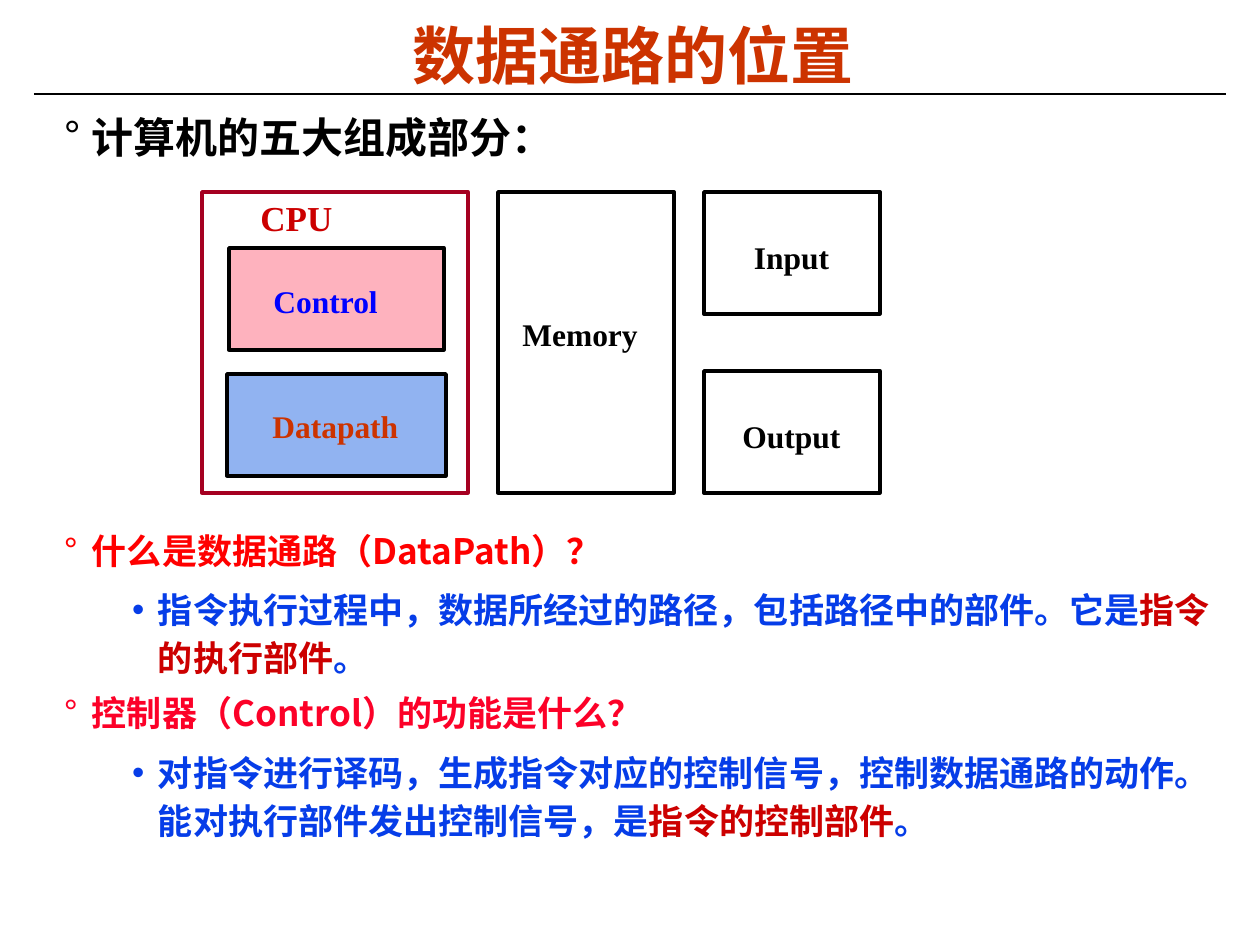
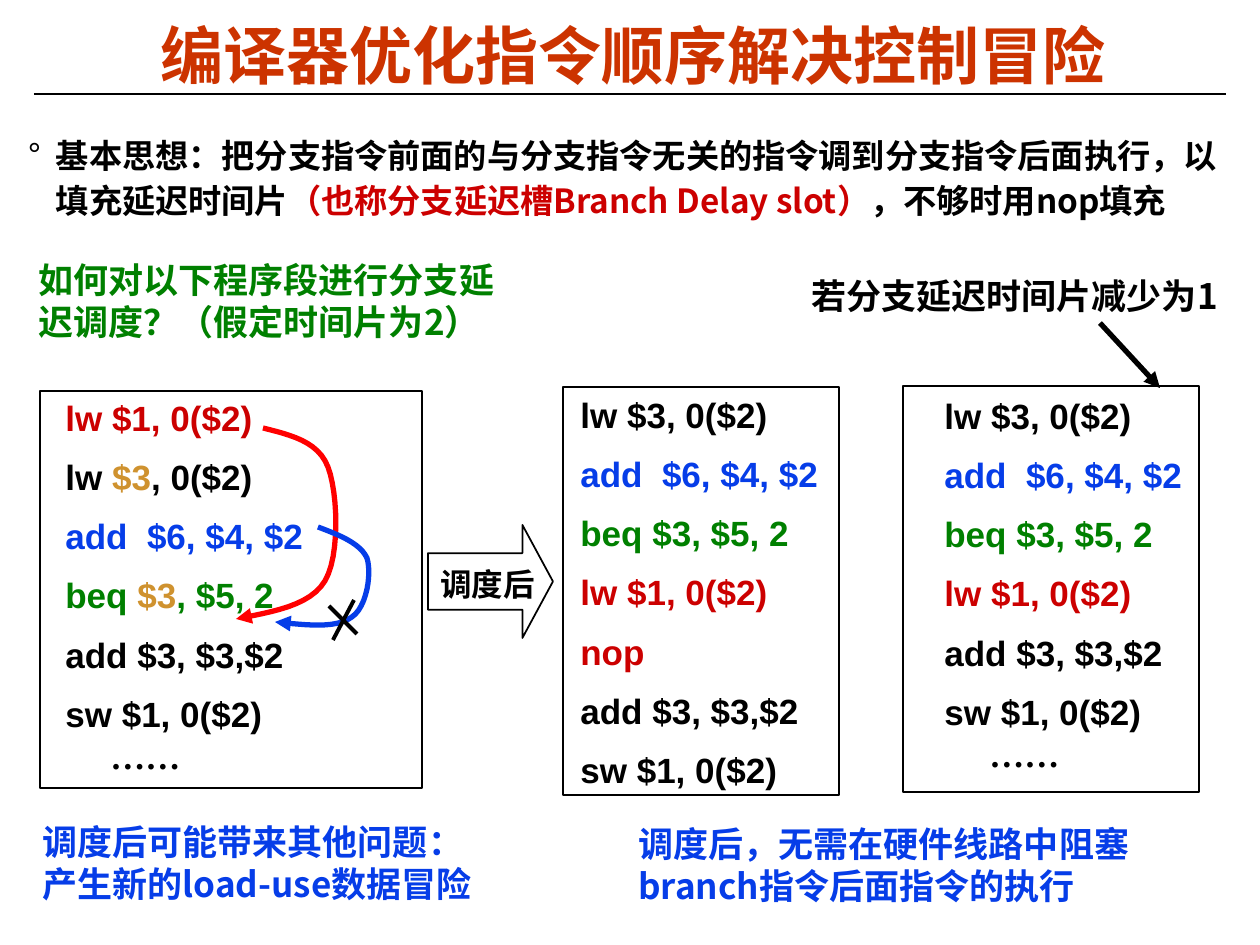
from dataclasses import dataclass

from lxml.etree import SubElement
from pptx import Presentation
from pptx.dml.color import RGBColor
from pptx.enum.shapes import MSO_CONNECTOR as Connector, MSO_SHAPE as Preset
from pptx.enum.text import MSO_ANCHOR as Anchor, MSO_AUTO_SIZE as AutoSize, PP_ALIGN as Align
from pptx.oxml.ns import qn
from pptx.util import Inches, Pt

PIXEL = 914400 / 126
CURVE_STEPS = 12


@dataclass(frozen=True)
class Theme:
    """Colours, fonts and type sizes of the deck."""
    black: str = "000000"
    title: str = "CC3300"
    dark_red: str = "CC0000"
    red: str = "FF0000"
    crimson: str = "FC0128"
    maroon: str = "A50021"
    blue: str = "063DE8"
    pure_blue: str = "0000FF"
    light_blue: str = "91B3F1"
    green: str = "008000"
    ochre: str = "CF922F"
    sans: str = "Arial"
    serif: str = "Times New Roman"
    chinese: str = "Noto Sans CJK SC"
    title_size: int = 36
    heading_size: int = 24
    text_size: int = 20
    idea_size: int = 19
    label_size: int = 18
    line_factor: float = 1.2


def px(length):
    """Turn pixels into EMU."""
    return round(length * PIXEL)


def rgb(colour):
    """Turn a hex string into a colour."""
    return RGBColor.from_string(colour)


def bezier(start, first, second, end):
    """Sample a cubic curve, leaving out its start."""
    for step in range(1, CURVE_STEPS + 1):
        t = step / CURVE_STEPS
        weights = ((1 - t) ** 3, 3 * t * (1 - t) ** 2, 3 * t * t * (1 - t), t ** 3)
        yield tuple(px(sum(weight * point[axis] for weight, point
                           in zip(weights, (start, first, second, end))))
                    for axis in (0, 1))


class Deck:
    """Holds the presentation, its style and the current slide."""

    def __init__(self, theme):
        self.theme = theme
        self.presentation = Presentation()
        self.presentation.slide_width = Inches(10)
        self.presentation.slide_height = Inches(7.5)
        self.layout = self.presentation.slide_layouts[1]
        self.slide = None

    def add_slide(self, title):
        """Start a slide with the shared title style."""
        self.slide = self.presentation.slides.add_slide(self.layout)
        frame = self.frame(self.slide.shapes.title, (33, 18, 1201, 73), (9, 4))
        self.fill_paragraph(frame.paragraphs[0], title, self.theme.title,
                            self.theme.title_size, self.theme.sans, line=40,
                            align=Align.CENTER)

    def add_title_rule(self):
        """Move one rule under the title into the layout."""
        rule = self.line((34, 94), (1226, 94), 1.5)
        rule.element.nvCxnSpPr.cNvPr.set("id", "20")
        self.layout.shapes.element.append(rule.element)

    def frame(self, shape, box, insets=(12.6, 6.3), wrap=True):
        """Place a text shape and return its prepared frame."""
        shape.left, shape.top, shape.width, shape.height = map(px, box)
        frame = shape.text_frame
        frame.word_wrap = wrap
        frame.auto_size = AutoSize.NONE
        frame.vertical_anchor = Anchor.TOP
        frame.margin_left = frame.margin_right = px(insets[0])
        frame.margin_top = frame.margin_bottom = px(insets[1])
        return frame

    def fill_paragraph(self, paragraph, text, colour, size, font, line=None, before=0,
                       align=Align.LEFT):
        """Fill a paragraph; text is a string or (text, colour) pairs."""
        paragraph.alignment = align
        paragraph.line_spacing = Pt(line or size * self.theme.line_factor)
        paragraph.space_before = Pt(before)
        paragraph.font.size = Pt(size)
        paragraph.font.bold = True
        paragraph.font.name = font
        paragraph.font.color.rgb = rgb(colour)
        defaults = paragraph._p.pPr.find(qn("a:defRPr"))
        SubElement(defaults, qn("a:ea")).set("typeface", self.theme.chinese)
        for part, part_colour in [(text, None)] if isinstance(text, str) else text:
            run = paragraph.add_run()
            run.text = part
            if part_colour:
                run.font.color.rgb = rgb(part_colour)

    def indent(self, paragraph, left, hanging=0):
        """Set the left margin and hanging indent in pixels."""
        properties = paragraph._p.get_or_add_pPr()
        properties.set("marL", str(px(left)))
        properties.set("indent", str(-px(hanging)))
        return properties

    def bullets(self, box, items):
        """Fill the body placeholder; items are (level, text, colour, size, line, before)."""
        frame = self.frame(self.slide.placeholders[1], box, (9, 4))
        for index, (level, text, colour, size, line, before) in enumerate(items):
            paragraph = frame.add_paragraph() if index else frame.paragraphs[0]
            paragraph.level = level
            left, hanging, mark = ((28, 28, "°"), (94, 26, "•"))[level]
            properties = self.indent(paragraph, left, hanging)
            paragraph.line_spacing = Pt(line)
            paragraph.space_before = Pt(before)
            bullet_colour = SubElement(properties, qn("a:buClr"))
            SubElement(bullet_colour, qn("a:srgbClr")).set("val", colour)
            SubElement(properties, qn("a:buFont")).set("typeface", self.theme.sans)
            SubElement(properties, qn("a:buChar")).set("char", mark)
            font = self.theme.sans if size == self.theme.heading_size else self.theme.chinese
            self.fill_paragraph(paragraph, text, colour, size, font, line, before)

    def text(self, box, text, colour, size=None, font=None, wrap=True, align=Align.LEFT):
        """Add a text box with one paragraph."""
        shape = self.slide.shapes.add_textbox(0, 0, 0, 0)
        frame = self.frame(shape, box, wrap=wrap)
        self.fill_paragraph(frame.paragraphs[0], text, colour, size or self.theme.text_size,
                            font or self.theme.chinese, align=align)

    def label(self, box, text, colour, size=None, align=Align.LEFT):
        """Add a short serif label."""
        self.text(box, text, colour, size or self.theme.label_size, self.theme.serif,
                  False, align)

    def code(self, box, lines, ellipsis):
        """Add a listing of (text, colour) lines, ended by dots if wanted."""
        shape = self.slide.shapes.add_textbox(0, 0, 0, 0)
        frame = self.frame(shape, box)
        for index, (text, colour) in enumerate(lines):
            paragraph = frame.add_paragraph() if index else frame.paragraphs[0]
            self.fill_paragraph(paragraph, text, colour, self.theme.text_size,
                                self.theme.sans, line=28.8, before=5)
        if ellipsis:
            paragraph = frame.add_paragraph()
            self.indent(paragraph, 45)
            self.fill_paragraph(paragraph, "……", self.theme.black, self.theme.text_size,
                                self.theme.serif)

    def shape(self, box, line_width, line=None, fill=None, alpha=None, preset=Preset.RECTANGLE):
        """Add an outlined preset shape."""
        shape = self.slide.shapes.add_shape(preset, *map(px, box))
        shape.shadow.inherit = False
        shape.line.color.rgb = rgb(line or self.theme.black)
        shape.line.width = Pt(line_width)
        if fill:
            shape.fill.solid()
            shape.fill.fore_color.rgb = rgb(fill)
        else:
            shape.fill.background()
        if alpha:
            colour = shape.element.spPr.find(qn("a:solidFill")).find(qn("a:srgbClr"))
            SubElement(colour, qn("a:alpha")).set("val", str(alpha * 1000))
        return shape

    def arrowhead(self, shape):
        """Put a triangle at the end of a line."""
        outline = shape.element.spPr.find(qn("a:ln"))
        SubElement(outline, qn("a:tailEnd")).set("type", "triangle")

    def line(self, start, end, width, arrow=False):
        """Add a straight black line."""
        line = self.slide.shapes.add_connector(Connector.STRAIGHT, *map(px, start + end))
        line.line.color.rgb = rgb(self.theme.black)
        line.line.width = Pt(width)
        if arrow:
            self.arrowhead(line)
        SubElement(line.element.spPr, qn("a:effectLst"))
        return line

    def curve(self, start, segments, colour):
        """Add a curved arrow through cubic segments."""
        builder = self.slide.shapes.build_freeform(px(start[0]), px(start[1]))
        for first, second, end in segments:
            builder.add_line_segments(list(bezier(start, first, second, end)), close=False)
            start = end
        shape = builder.convert_to_shape()
        shape.shadow.inherit = False
        shape.fill.background()
        shape.line.color.rgb = rgb(colour)
        shape.line.width = Pt(3)
        self.arrowhead(shape)


def build_datapath_slide(deck):
    """The five parts of a computer and the role of the datapath."""
    theme = deck.theme
    size = theme.text_size
    deck.add_slide("数据通路的位置")
    deck.add_title_rule()
    deck.bullets((55, 105, 1169, 764), [
        (0, "计算机的五大组成部分：", theme.black, theme.heading_size, 30, 0),
        (0, "什么是数据通路（DataPath）？", theme.red, size, 25.2, 209),
        (1, [("指令执行过程中，数据所经过的路径，包括路径中的部件。它是", None),
             ("指令的执行部件", theme.dark_red), ("。", None)], theme.blue, size, 27.6, 6.2),
        (0, "控制器（Control）的功能是什么？", theme.crimson, size, 25.2, 6.2),
        (1, [("对指令进行译码，生成指令对应的控制信号，控制数据通路的动作。"
              "能对执行部件发出控制信号，是", None),
             ("指令的控制部件", theme.dark_red), ("。", None)], theme.blue, size, 27.6, 6.2),
    ])
    deck.shape((202, 192, 266, 301), 2, theme.maroon)
    deck.shape((229, 248, 215, 102), 2, fill=theme.crimson, alpha=30)
    deck.shape((227, 374, 219, 102), 2, fill=theme.light_blue)
    deck.shape((498, 192, 176, 301), 2)
    for top in (192, 371):
        deck.shape((704, top, 176, 122), 2)
    deck.label((248, 190, 97, 54), "CPU", theme.dark_red, theme.text_size)
    deck.label((261, 276, 130, 50), "Control", theme.pure_blue)
    deck.label((260, 401, 150, 50), "Datapath", theme.title)
    deck.label((510, 309, 140, 50), "Memory", theme.black)
    deck.label((741, 232, 101, 50), "Input", theme.black, align=Align.CENTER)
    deck.label((730, 411, 123, 50), "Output", theme.black, align=Align.CENTER)


def build_scheduling_slide(deck):
    """Code before and after filling the branch delay slots."""
    theme = deck.theme
    deck.add_slide("编译器优化指令顺序解决控制冒险")
    deck.bullets((19, 126, 1216, 98), [
        (0, [("基本思想：把分支指令前面的与分支指令无关的指令调到分支指令后面执行，"
              "以填充延迟时间片", None),
             ("（也称分支延迟槽Branch Delay slot）", theme.dark_red),
             ("，不够时用nop填充", None)], theme.black, theme.idea_size, 25.7, 0)])
    deck.text((26, 252, 507, 97), "如何对以下程序段进行分支延迟调度？（假定时间片为2）", theme.green)
    deck.text((799, 268, 442, 55), "若分支延迟时间片减少为1", theme.black, wrap=False)
    deck.text((30, 814, 471, 97), "调度后可能带来其他问题：产生新的load-use数据冒险", theme.blue)
    deck.text((626, 816, 562, 97), "调度后，无需在硬件线路中阻塞branch指令后面指令的执行", theme.blue)

    load_first = ("lw $1, 0($2)", theme.dark_red)
    add_free = ("add  $6, $4, $2", theme.blue)
    tail = [("add $3, $3,$2", theme.black), ("sw $1, 0($2)", theme.black)]
    unscheduled = [load_first,
                   ([("lw ", None), ("$3", theme.ochre), (", 0($2)", None)], theme.black),
                   add_free,
                   ([("beq ", None), ("$3", theme.ochre), (", $5, 2", None)], theme.green)]
    scheduled = [("lw $3, 0($2)", theme.black), add_free,
                 ("beq $3, $5, 2", theme.green), load_first]
    for outline, box, lines, ellipsis in (
            ((40, 391, 382, 397), (53, 382, 275, 465), unscheduled + tail, True),
            ((563, 387, 276, 408), (568, 379, 292, 418),
             scheduled + [("nop", theme.dark_red)] + tail, False),
            ((903, 386, 296, 406), (932, 380, 328, 465), scheduled + tail, True)):
        deck.shape(outline, 1)
        deck.code(box, lines, ellipsis)

    deck.curve((263, 428), [((290, 435), (318, 441), (328, 467)),
                            ((338, 493), (340, 556), (325, 581)),
                            ((310, 606), (272, 612), (236, 619))], theme.red)
    deck.curve((318, 527), [((339, 535), (360, 543), (367, 558)),
                            ((372, 573), (367, 607), (352, 617)),
                            ((336, 629), (306, 625), (275, 622))], theme.blue)
    deck.line((354, 600), (333, 640), 2.25)
    deck.line((329, 606), (357, 634), 2.25)
    deck.line((1100, 323), (1160, 388), 3, arrow=True)
    arrow = deck.shape((428, 525, 125, 113), 1, preset=Preset.RIGHT_ARROW)
    arrow.adjustments[1] = 0.27
    deck.text((428, 559, 139, 50), "调度后", theme.black, theme.label_size, theme.serif)


def main():
    """Build both slides and save them."""
    deck = Deck(Theme())
    build_datapath_slide(deck)
    build_scheduling_slide(deck)
    deck.presentation.save("out.pptx")


main()
